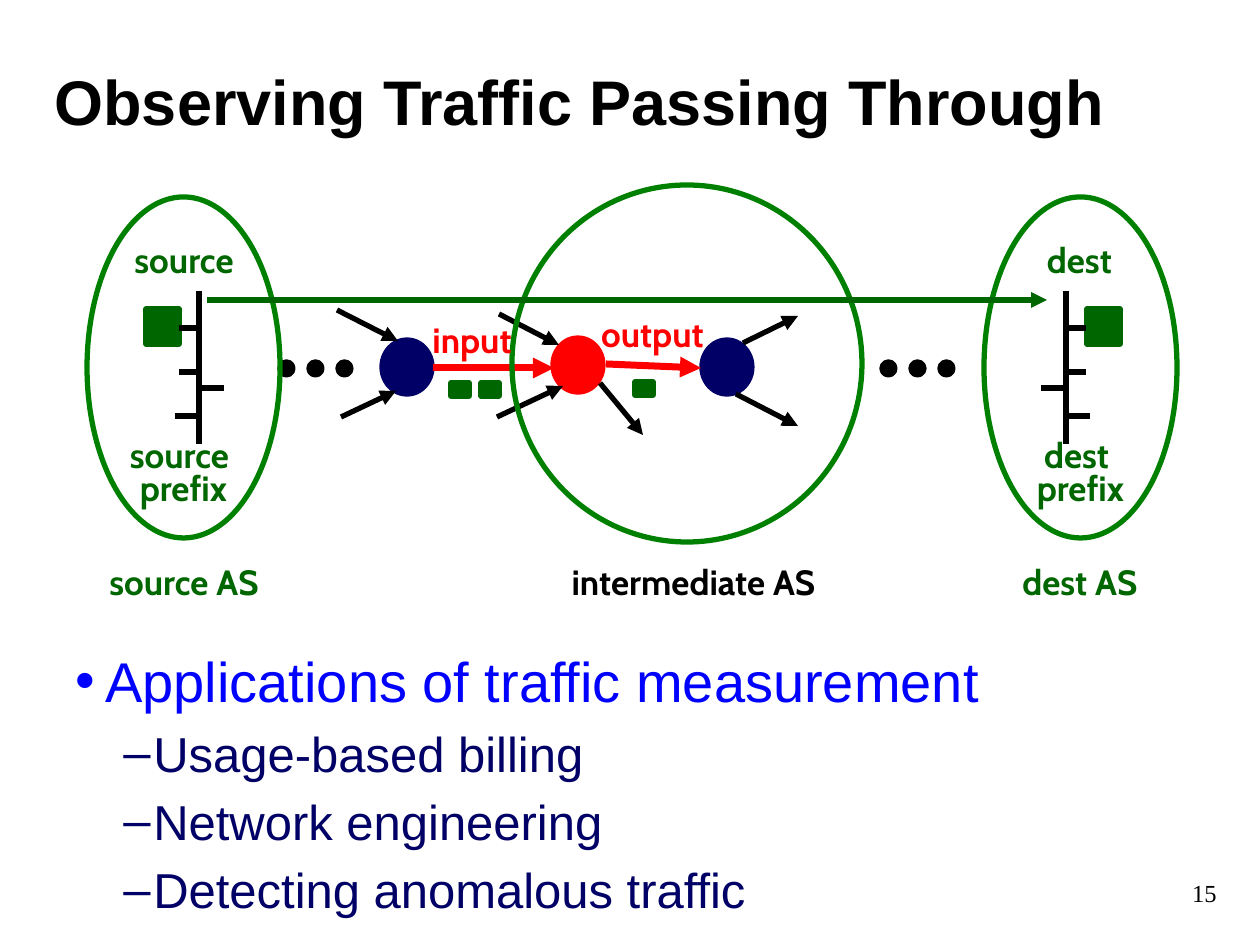
import pptx
import pptx.util
from lxml import etree
from pptx.dml.color import RGBColor
from pptx.enum.shapes import MSO_CONNECTOR, MSO_SHAPE
from pptx.enum.text import MSO_ANCHOR, MSO_AUTO_SIZE, PP_ALIGN
from pptx.oxml.ns import qn

EMU_PER_PX = 914400 / 126
BLACK = RGBColor(0x00, 0x00, 0x00)
RED = RGBColor(0xFF, 0x00, 0x00)
NAVY = RGBColor(0x00, 0x00, 0x66)
BLUE = RGBColor(0x00, 0x00, 0xFF)
GREEN = RGBColor(0x00, 0x66, 0x00)
RING_GREEN = RGBColor(0x00, 0x80, 0x00)


def px(*lengths):
    return [pptx.util.Emu(round(n * EMU_PER_PX)) for n in lengths]


def format_runs(paragraph, font_name, size, color, bold=False):
    for run in paragraph.runs:
        run.font.name = font_name
        run.font.size = pptx.util.Pt(size)
        run.font.bold = bold
        run.font.color.rgb = color


def add_figure(slide, kind, box, color, filled=True):
    figure = slide.shapes.add_shape(kind, *px(*box))
    figure.shadow.inherit = False
    if filled:
        figure.fill.solid()
        figure.fill.fore_color.rgb = color
    else:
        figure.fill.background()
    figure.line.color.rgb = color
    figure.line.width = pptx.util.Pt(3)


def add_line(slide, ends, color=BLACK, width=3, arrow=False):
    line = slide.shapes.add_connector(MSO_CONNECTOR.STRAIGHT, *px(*ends))
    line.line.color.rgb = color
    line.line.width = pptx.util.Pt(width)
    if arrow:
        outline = line.line._get_or_add_ln()
        etree.SubElement(outline, qn("a:tailEnd"), type="triangle")
    etree.SubElement(line._element.spPr, qn("a:effectLst"))


def add_label(slide, text, box, color):
    """Add a bold centred label; stacked lines are set tight."""
    label = slide.shapes.add_textbox(*px(*box))
    frame = label.text_frame
    frame.text = text
    frame.word_wrap = False
    frame.auto_size = MSO_AUTO_SIZE.SHAPE_TO_FIT_TEXT
    for paragraph in frame.paragraphs:
        paragraph.alignment = PP_ALIGN.CENTER
        if len(frame.paragraphs) > 1:
            paragraph.line_spacing = 0.8
        format_runs(paragraph, "Cabin", 20, color, bold=True)


def add_dots(slide, left):
    for i in range(3):
        add_figure(slide, MSO_SHAPE.OVAL, (left + 29 * i, 362, 13, 13), BLACK)


def add_access_network(slide, trunk, side):
    """Draw a trunk with taps and a host; side is -1 for host left, 1 for right."""
    host_width = 33
    host_left = trunk + 37 * side - host_width // 2
    add_figure(slide, MSO_SHAPE.RECTANGLE, (host_left, 309, host_width, 35), GREEN)
    add_line(slide, (trunk, 444, trunk, 291))
    for y, start, end in ((328, 20, -3), (372, 20, -3), (388, -3, -25), (416, 24, 1)):
        add_line(slide, (trunk + side * start, y, trunk + side * end, y))


def add_title(slide):
    title = slide.shapes.title
    title.left, title.top, title.width, title.height = px(42, 53, 1111, 94)
    frame = title.text_frame
    frame.text = "Observing Traffic Passing Through"
    frame.vertical_anchor = MSO_ANCHOR.MIDDLE
    frame.paragraphs[0].alignment = PP_ALIGN.LEFT
    format_runs(frame.paragraphs[0], "Arial", 36, BLACK, bold=True)


def format_bullet(paragraph, char, indent, color):
    properties = paragraph._p.get_or_add_pPr()
    hanging, = px(30)
    margin, = px(indent)
    properties.set("marL", str(margin))
    properties.set("indent", str(-hanging))
    bullet_color = etree.SubElement(properties, qn("a:buClr"))
    etree.SubElement(bullet_color, qn("a:srgbClr"), val=str(color))
    etree.SubElement(properties, qn("a:buFont"), typeface="Arial")
    etree.SubElement(properties, qn("a:buChar"), char=char)


def add_applications(slide):
    frame = slide.shapes.add_textbox(*px(63, 640, 1166, 305)).text_frame
    frame.word_wrap = True
    frame.text = "\n".join((
        "Applications of traffic measurement",
        "Usage-based billing",
        "Network engineering",
        "Detecting anomalous traffic",
    ))
    heading, *uses = frame.paragraphs
    heading.space_before = pptx.util.Pt(3.5)
    format_bullet(heading, "•", 30, BLUE)
    format_runs(heading, "Arial", 32, BLUE)
    for use in uses:
        use.level = 1
        use.space_before = pptx.util.Pt(5.5)
        format_bullet(use, "–", 78, NAVY)
        format_runs(use, "Arial", 28, NAVY)


def add_page_number(slide):
    frame = slide.shapes.add_textbox(*px(1103, 872, 126, 53)).text_frame
    frame.word_wrap = True
    frame.text = "15"
    frame.paragraphs[0].alignment = PP_ALIGN.RIGHT
    format_runs(frame.paragraphs[0], "Times New Roman", 14, BLACK)


def add_routers(slide):
    for left, top, color in ((382, 340, NAVY), (553, 338, RED), (702, 340, NAVY)):
        add_figure(slide, MSO_SHAPE.OVAL, (left, top, 50, 54), color)
    side_links = (
        (337, 310, 398, 341), (341, 417, 396, 391),
        (499, 314, 559, 345), (497, 417, 563, 386), (600, 383, 643, 435),
        (743, 343, 798, 316), (736, 394, 798, 426),
    )
    for link in side_links:
        add_line(slide, link, arrow=True)
    for link in ((433, 368, 554, 368), (606, 364, 701, 368)):
        add_line(slide, link, RED, width=4, arrow=True)


def main():
    presentation = pptx.Presentation()
    presentation.slide_width, presentation.slide_height = px(1260, 945)
    slide = presentation.slides.add_slide(presentation.slide_layouts[5])

    add_title(slide)
    add_applications(slide)
    add_page_number(slide)
    add_routers(slide)
    for left in (280, 882):
        add_dots(slide, left)

    for system in ((512, 185, 350, 357), (87, 197, 193, 341), (984, 197, 193, 341)):
        add_figure(slide, MSO_SHAPE.OVAL, system, RING_GREEN, filled=False)
    add_access_network(slide, trunk=199, side=-1)
    add_access_network(slide, trunk=1066, side=1)

    add_line(slide, (207, 300, 1047, 300), GREEN, arrow=True)
    for left, top in ((451, 383), (481, 383), (635, 382)):
        add_figure(slide, MSO_SHAPE.RECTANGLE, (left, top, 18, 13), GREEN)

    labels = (
        ("input", (412, 312, 120, 55), RED),
        ("output", (580, 306, 145, 55), RED),
        ("source", (113, 232, 142, 55), GREEN),
        ("source \nprefix", (108, 435, 151, 81), GREEN),
        ("source AS", (87, 554, 194, 55), GREEN),
        ("dest", (1029, 232, 101, 55), GREEN),
        ("dest \nprefix", (1016, 435, 129, 81), GREEN),
        ("dest AS", (1003, 554, 154, 55), GREEN),
        ("intermediate AS", (539, 554, 309, 55), BLACK),
    )
    for text, box, color in labels:
        add_label(slide, text, box, color)

    presentation.save("out.pptx")


if __name__ == "__main__":
    main()
